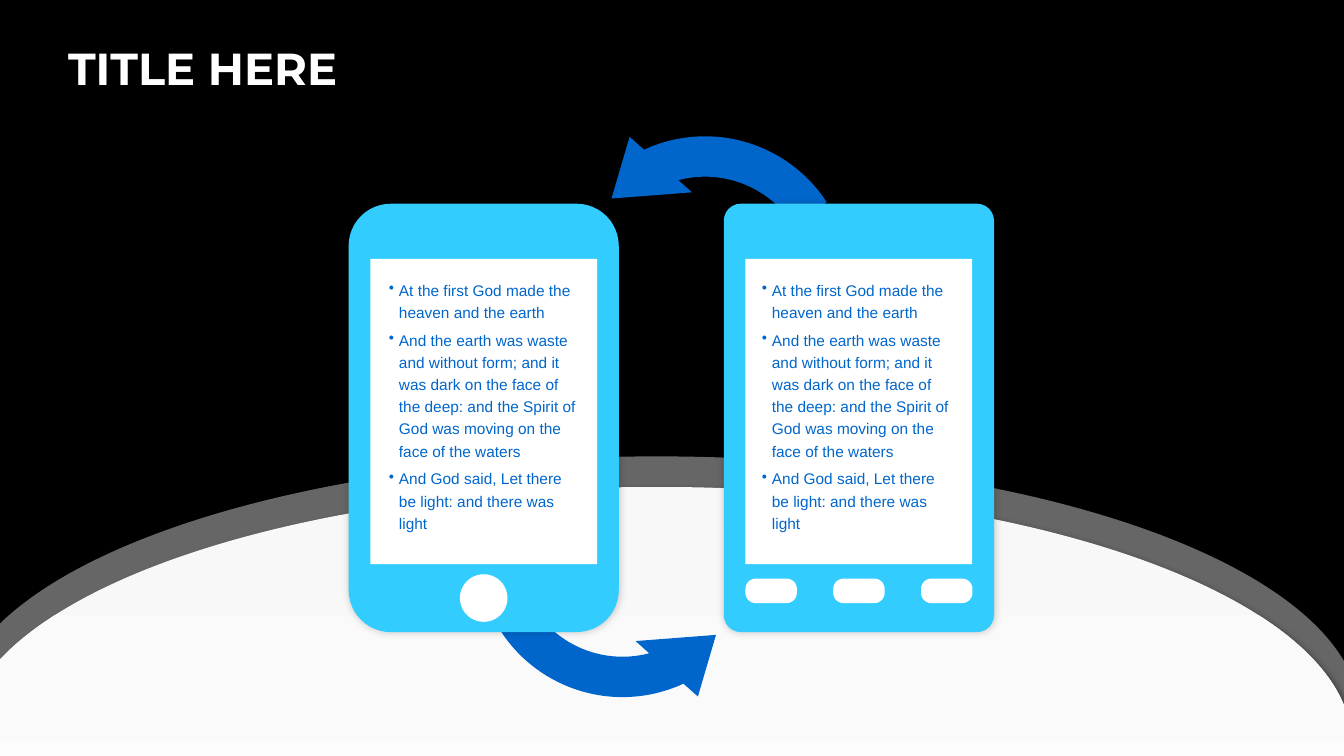
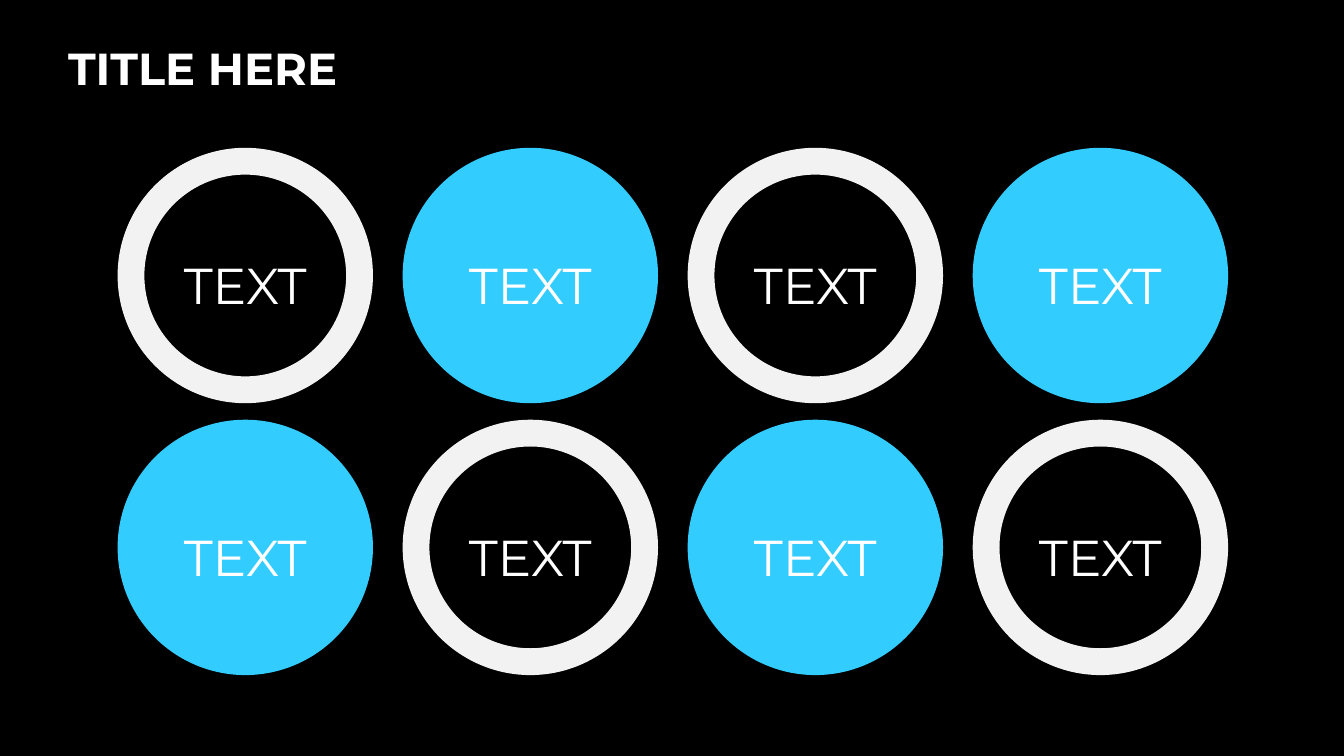
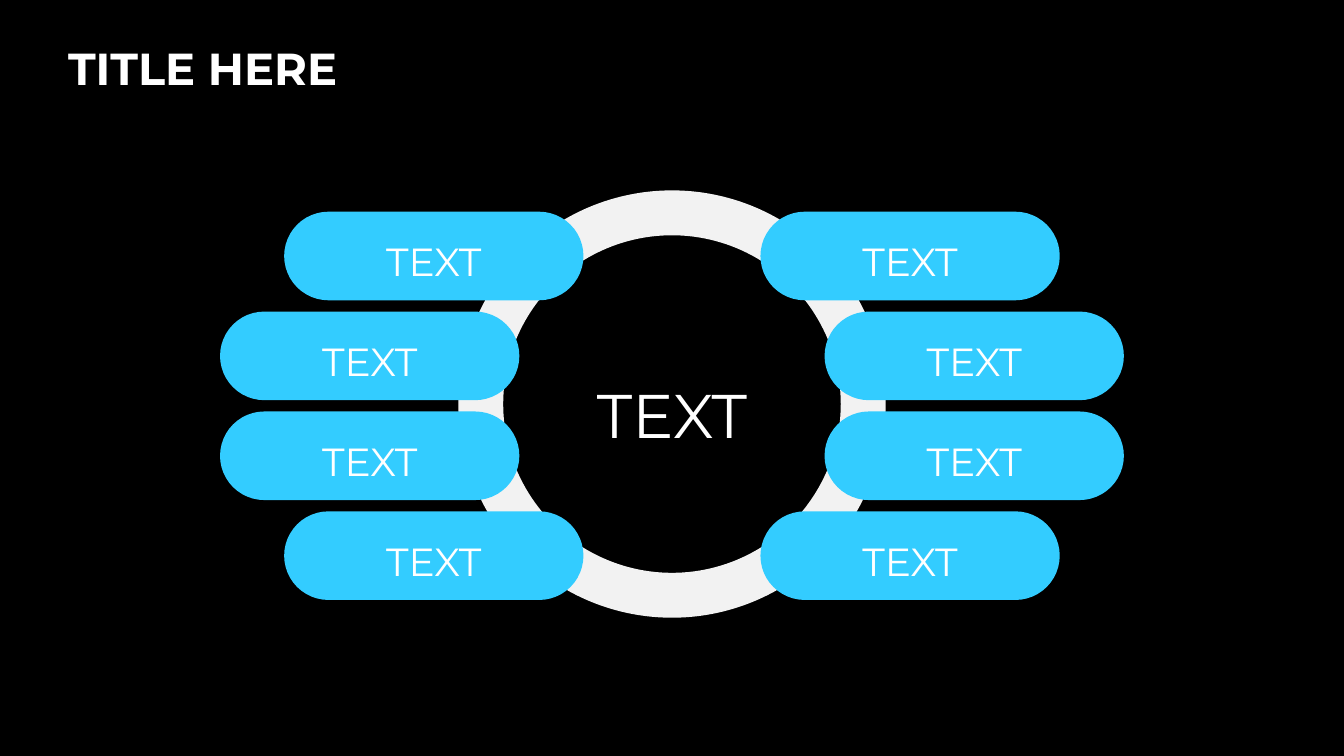
from lxml import etree
from pptx import Presentation
from pptx.dml.color import RGBColor
from pptx.enum.shapes import MSO_SHAPE as Kind
from pptx.enum.text import MSO_ANCHOR as Anchor, PP_ALIGN as Align
from pptx.oxml.ns import qn
from pptx.util import Pt

BLACK, WHITE, PALE, GRAY = "000000", "FFFFFF", "F2F2F2", "666666"
SKY, BLUE = "33CCFF", "0066CC"
HEADING_FONT, BODY_FONT = "Montserrat", "Arial"
RING = [0.105]
WIDTH, HEIGHT = 960, 540

hue = RGBColor.from_string


def draw(page, kind, x, y, width, height, color, adjustments=(), shadow=None):
    """Add a borderless shape; shadow is (opacity %, blur, distance, degrees)."""
    shape = page.shapes.add_shape(kind, Pt(x), Pt(y), Pt(width), Pt(height))
    shape.fill.solid()
    shape.fill.fore_color.rgb = hue(color)
    shape.line.fill.background()
    shape.shadow.inherit = False
    for index, value in enumerate(adjustments):
        shape.adjustments[index] = value
    if shadow:
        opacity, blur, distance, degrees = shadow
        effects = shape.element.spPr.find(qn("a:effectLst"))
        outer = etree.SubElement(
            effects, qn("a:outerShdw"), blurRad=str(Pt(blur)), dist=str(Pt(distance)),
            dir=str(degrees * 60000), algn="ctr", rotWithShape="0")
        tone = etree.SubElement(outer, qn("a:srgbClr"), val=BLACK)
        etree.SubElement(tone, qn("a:alpha"), val=str(opacity * 1000))
    return shape


def write(frame, text, size, color=WHITE, font=HEADING_FONT, align=Align.CENTER):
    """Fill a text frame with evenly spaced paragraphs."""
    frame.text = text
    frame.word_wrap = True
    for para in frame.paragraphs:
        para.alignment = align
        para.line_spacing = 1.2
        para.space_before = para.space_after = Pt(2)
        for span in para.runs:
            span.font.size = Pt(size)
            span.font.name = font
            span.font.color.rgb = hue(color)


deck = Presentation()
deck.slide_width, deck.slide_height = Pt(WIDTH), Pt(HEIGHT)
backdrop = deck.slide_master.background.fill
backdrop.solid()
backdrop.fore_color.rgb = hue(BLACK)

pages = []
for number in range(3):
    page = deck.slides.add_slide(deck.slide_layouts[6])
    title = page.shapes.add_textbox(Pt(41.5), Pt(20), Pt(877), Pt(57)).text_frame
    title.word_wrap = True
    title.vertical_anchor = Anchor.MIDDLE
    title.text = "TITLE HERE"
    font = title.paragraphs[0].runs[0].font
    font.name, font.size, font.bold = HEADING_FONT, Pt(32), True
    font.color.rgb = hue(WHITE)
    pages.append(page)
devices_page, circles_page, hub_page = pages

# Two devices exchanging data on a curved stage
stage_shadow = (40, 4, 3, 45)
draw(devices_page, Kind.OVAL, -33, 326, 1004.4, 371, GRAY, shadow=stage_shadow)
stage = draw(devices_page, Kind.OVAL, -27.4, 347.8, 993, 366.5, WHITE, shadow=stage_shadow)
stage.fill.gradient()
stage.fill.gradient_angle = 270
for stop, color in zip(stage.fill.gradient_stops, ("F8F8F8", WHITE)):
    stop.color.rgb = hue(color)

verses = "\n".join([
    "At the first God made the heaven and the earth",
    "And the earth was waste and without form; and it was dark on the face of the deep: "
    "and the Spirit of God was moving on the face of the waters",
    "And God said, Let there be light: and there was light",
])
arrow_bend = [0.121, 16.595, 192.432, 145.873, 0.125]
# device left, corner, text left, arrow left, arrow top, arrow rotation
devices = [(517, 0.063, 537.1, 384.5, 82, 30), (249, 0.156, 270.7, 325.5, 275, 210)]
for left, corner, text_left, arrow_left, arrow_top, rotation in devices:
    arrow = draw(devices_page, Kind.CIRCULAR_ARROW, arrow_left, arrow_top, 238.3, 238.3,
                 BLUE, arrow_bend)
    arrow.rotation = rotation
    arrow.element.spPr.find(qn("a:xfrm")).set("flipH", "1")
    draw(devices_page, Kind.ROUNDED_RECTANGLE, left, 145.5, 193, 306, SKY, [corner],
         shadow=(20, 6, 0, 315))
    draw(devices_page, Kind.RECTANGLE, left + 15.5, 185, 162, 218, WHITE)
    box = devices_page.shapes.add_textbox(Pt(text_left), Pt(194.4), Pt(152), Pt(190))
    write(box.text_frame, verses, 11, BLUE, BODY_FONT, Align.LEFT)
    for para in box.text_frame.paragraphs:
        properties = para._p.get_or_add_pPr()
        properties.set("marL", str(Pt(7.2)))
        properties.set("indent", str(Pt(-7.2)))
        etree.SubElement(properties, qn("a:buChar"), char="•")

tablet_left, phone_left = devices[0][0], devices[1][0]
for column in range(3):
    draw(devices_page, Kind.ROUNDED_RECTANGLE, tablet_left + 15.5 + 62.7 * column, 413.3,
         36.7, 17.5, WHITE, [0.416])
draw(devices_page, Kind.OVAL, phone_left + 79.5, 410.2, 34, 34, WHITE)

# Checkerboard of rings and discs
for row in range(2):
    for column in range(4):
        x, y = 84 + 203.6 * column, 105.6 + 194.2 * row
        if (row + column) % 2 == 0:
            draw(circles_page, Kind.DONUT, x, y, 182.4, 182.4, PALE, RING)
        else:
            draw(circles_page, Kind.OVAL, x, y, 182.4, 182.4, SKY)
        box = circles_page.shapes.add_textbox(Pt(x + 30.6), Pt(y + 63.7), Pt(121), Pt(60))
        write(box.text_frame, "TEXT", 36)

# Ring with four labels on each side
draw(hub_page, Kind.DONUT, 327.4, 136, 305.2, 305.2, PALE, RING)
box = hub_page.shapes.add_textbox(Pt(407.3), Pt(255), Pt(145.4), Pt(71))
write(box.text_frame, "TEXT", 44)
label_width = 213.8
for row, inset in enumerate((203, 157.2, 157.2, 203)):
    for x in (inset, WIDTH - inset - label_width):
        label = draw(hub_page, Kind.ROUNDED_RECTANGLE, x, 151.2 + 71.35 * row, label_width, 63.3,
                     SKY, [0.5])
        label.text_frame.vertical_anchor = Anchor.MIDDLE
        write(label.text_frame, "TEXT", 28)

deck.save("out.pptx")
